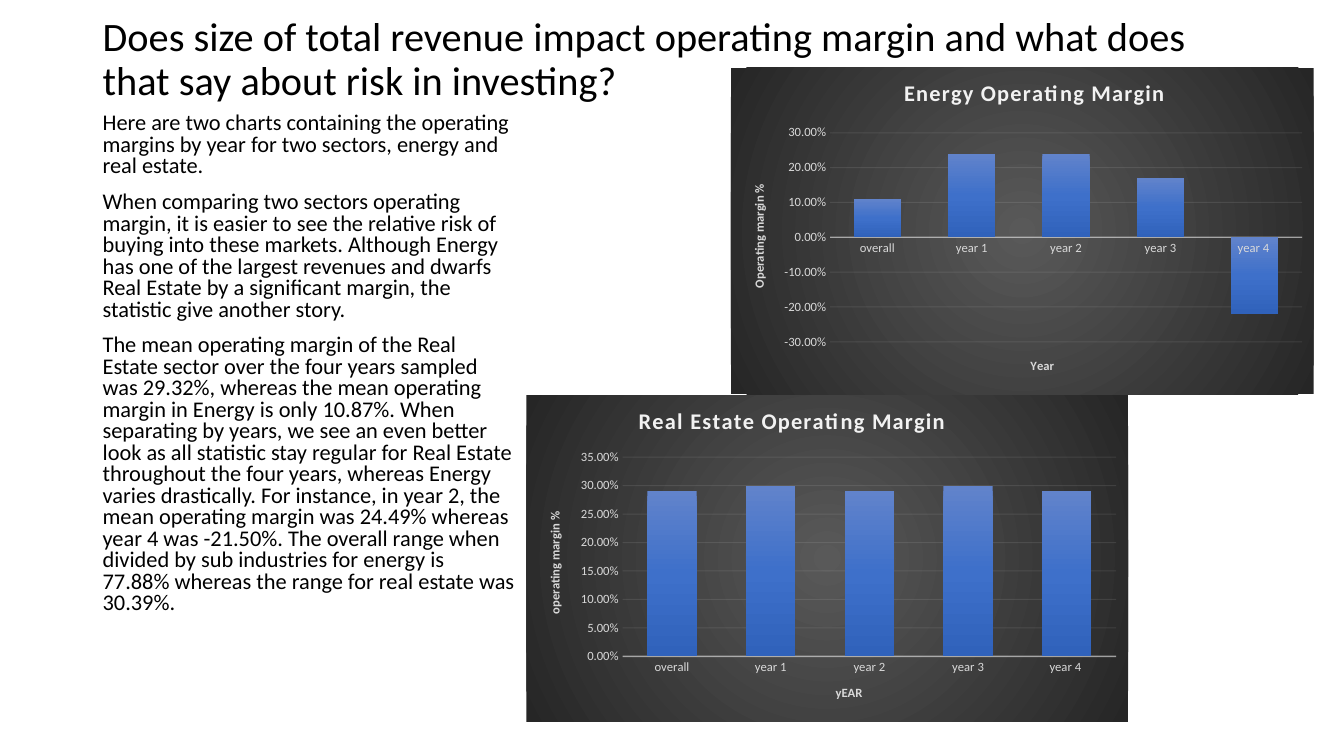
from lxml import etree
from pptx import Presentation
from pptx import util as u
from pptx.chart.data import CategoryChartData
from pptx.dml.color import RGBColor
from pptx.enum import chart as ch, text
from pptx.oxml import parse_xml
from pptx.oxml.ns import nsdecls, qn

WIDTH, HEIGHT = 13.33, 7.5
FONT = "Calibri"
LEFT = 0.92
YEARS = ["overall", "year 1", "year 2", "year 3", "year 4 "]
TITLE = ("Does size of total revenue impact operating margin and what does "
         "that say about risk in investing?")
BODY = [
    "Here are two charts containing the operating margins by year for two sectors, "
    "energy and real estate.",
    "When comparing two sectors operating margin, it is easier to see the relative risk of "
    "buying into these markets. Although Energy has one of the largest revenues and dwarfs "
    "Real Estate by a significant margin, the statistic give another story.",
    "The mean operating margin of the Real Estate sector over the four years sampled was "
    "29.32%, whereas the mean operating margin in Energy is only 10.87%. When separating by "
    "years, we see an even better look as all statistic stay regular for Real Estate "
    "throughout the four years, whereas Energy varies drastically. For instance, in year 2, "
    "the mean operating margin was 24.49% whereas year 4 was -21.50%. The overall range when "
    "divided by sub industries for energy is 77.88% whereas the range for real estate was "
    "30.39%.",
]


def color(value):
    return RGBColor.from_string(value)


def style_font(font, size, value, bold=False):
    font.name, font.size, font.bold = FONT, u.Pt(size), bold
    font.color.rgb = color(value)


def add_text(page, frame, paragraphs, size, line_spacing, before=0,
             anchor=text.MSO_ANCHOR.TOP):
    box = page.shapes.add_textbox(*[u.Inches(length) for length in frame])
    body = box.text_frame
    body.word_wrap = True
    body.vertical_anchor = anchor
    body.text = "\n".join(paragraphs)
    for para in body.paragraphs:
        para.line_spacing = line_spacing
        para.space_before = u.Pt(before)
        for span in para.runs:
            style_font(span.font, size, "000000")


def gradient(stops, direction):
    marks = "".join(f'<a:gs pos="{place * 1000}"><a:srgbClr val="{value}"/></a:gs>'
                    for place, value in stops)
    return f'<a:gradFill {nsdecls("a")}><a:gsLst>{marks}</a:gsLst>{direction}</a:gradFill>'


def layout(target, **shares):
    """Manual layout, in shares of the chart's size."""
    entries = "".join(f'<c:{name} val="{value}"/>' for name, value in shares.items())
    inner = '<c:layoutTarget val="inner"/>' if "w" in shares else ""
    for old in target.findall(qn("c:layout")):
        target.remove(old)
    node = parse_xml(f'<c:layout {nsdecls("c")}><c:manualLayout>{inner}<c:xMode val="edge"/>'
                     f'<c:yMode val="edge"/>{entries}</c:manualLayout></c:layout>')
    heading = target.find(qn("c:tx"))
    target.insert(0 if heading is None else 1, node)


def set_title(title, words, size, value, place, spacing=0, upright=False):
    title.text_frame.text = words
    span = title.text_frame.paragraphs[0].runs[0]
    style_font(span.font, size, value, bold=True)
    if spacing:
        span.font._element.set("spc", str(spacing))
    if upright:
        frame = title._element.find(".//" + qn("a:bodyPr"))
        frame.set("rot", "-5400000")
        frame.set("vert", "horz")
    layout(title._element, x=place[0], y=place[1])


def set_line(line, width, opacity):
    line.color.rgb = color("F2F2F2")
    line.width = u.Pt(width)
    tint = line._ln.find(".//" + qn("a:srgbClr"))
    etree.SubElement(tint, qn("a:alpha")).set("val", str(opacity * 1000))


def add_margin_chart(page, frame, title, title_place, axis_titles, values, limits, step, plot_area):
    data = CategoryChartData(number_format="0.00%")
    data.categories = YEARS
    data.add_series("Series 1", values)
    chart = page.shapes.add_chart(ch.XL_CHART_TYPE.COLUMN_CLUSTERED,
                                  *[u.Inches(length) for length in frame], data).chart
    style_font(chart.font, 10, "000000")
    chart.has_legend = False
    set_title(chart.chart_title, title, 16, "F2F2F2", title_place, spacing=100)

    # Dark radial background
    glow = gradient([(0, "595959"), (100, "262626")],
                    '<a:path path="circle"><a:fillToRect l="50000" t="50000" r="50000" '
                    'b="50000"/></a:path>')
    space = chart._chartSpace
    space.find(qn("c:chart")).addnext(parse_xml(
        f'<c:spPr {nsdecls("c", "a")}>{glow}<a:ln><a:noFill/></a:ln></c:spPr>'))

    # Columns
    plot = chart.plots[0]
    plot.gap_width, plot.overlap, plot.vary_by_categories = 100, -24, False
    columns = plot.series[0]
    columns.invert_if_negative = False
    columns._element.get_or_add_spPr().insert(0, parse_xml(gradient(
        [(0, "6183CB"), (50, "3E70CA"), (100, "3062BB")], '<a:lin ang="5400000" scaled="0"/>')))

    # Axes
    years, margins = chart.category_axis, chart.value_axis
    for axis in (years, margins):
        axis.major_tick_mark = axis.minor_tick_mark = ch.XL_TICK_MARK.NONE
        style_font(axis.tick_labels.font, 9, "D9D9D9")
    set_line(years.format.line, 1, 54)
    margins.format.line.fill.background()
    set_line(margins.major_gridlines.format.line, 0.75, 10)
    margins.minimum_scale, margins.maximum_scale = limits
    margins.major_unit = step
    margins.tick_labels.number_format = "0.00%"
    margins.tick_labels.number_format_is_linked = False
    set_title(years.axis_title, axis_titles[0], 9, "D9D9D9", (0.51, 0.88))
    set_title(margins.axis_title, axis_titles[1], 9, "D9D9D9", (0.03, 0.35), upright=True)
    layout(space.find(".//" + qn("c:plotArea")), **dict(zip("xywh", plot_area)))


def main():
    deck = Presentation()
    deck.slide_width, deck.slide_height = u.Inches(WIDTH), u.Inches(HEIGHT)
    page = deck.slides.add_slide(deck.slide_layouts[6])

    # Question and discussion
    add_text(page, (LEFT, 0.5, 11.5, 0.58), [TITLE], 28.8, 0.9,
             anchor=text.MSO_ANCHOR.BOTTOM)
    add_text(page, (LEFT, 1.08, 4.3, 5.34), BODY, 16, 0.8, before=10)

    # Sector charts
    add_margin_chart(page, (7.25, 0.67, 5.78, 3.24), "Energy Operating Margin", (0.29, 0.02),
                     ("Year", "Operating margin %"), (0.11, 0.24, 0.24, 0.17, -0.22),
                     (-0.3, 0.3), 0.1, (0.17, 0.2, 0.81, 0.64))
    add_margin_chart(page, (5.22, 3.92, 5.97, 3.24), "Real Estate Operating Margin", (0.18, 0.02),
                     ("yEAR", "operating margin %"), (0.29, 0.3, 0.29, 0.3, 0.29),
                     (0, 0.35), 0.05, (0.16, 0.19, 0.82, 0.61))
    deck.save("out.pptx")


if __name__ == "__main__":
    main()
